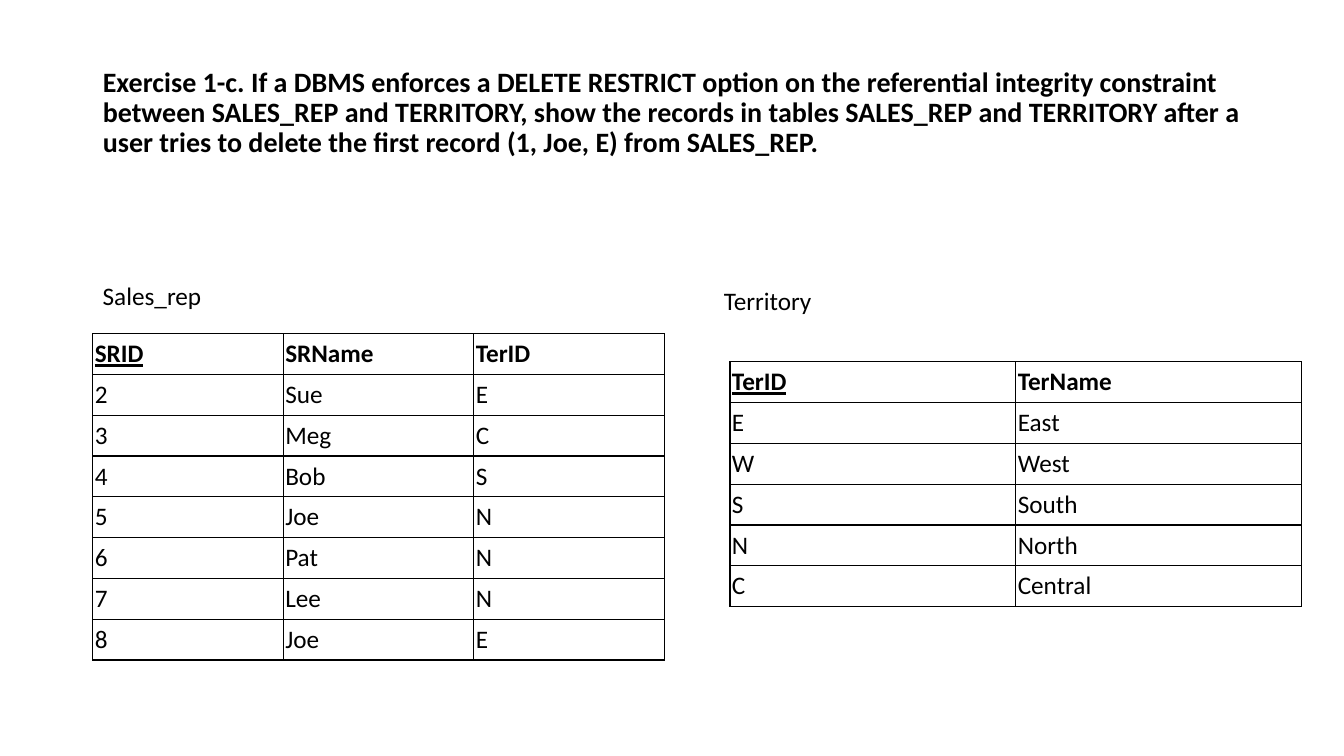
from dataclasses import dataclass

from lxml import etree
from pptx import Presentation
from pptx.dml.color import RGBColor
from pptx.enum.text import MSO_ANCHOR, MSO_AUTO_SIZE, PP_ALIGN
from pptx.oxml.ns import qn
from pptx.util import Inches, Pt

LEFT = PP_ALIGN.LEFT
MIDDLE = MSO_ANCHOR.MIDDLE
GROW = MSO_AUTO_SIZE.SHAPE_TO_FIT_TEXT
NO_FIT = MSO_AUTO_SIZE.NONE
TITLE_ONLY = 5


@dataclass(frozen=True)
class Theme:
    font: str = "Calibri"
    ink: str = "000000"
    title_size: int = 20
    body_size: int = 18
    border_width: int = 1
    cell_inset: float = 0.02
    table_width: float = 5.67
    row_height: float = 0.405


def write_text(frame, text, *, theme, size, bold=False, underline=False, spacing=None):
    paragraph = frame.paragraphs[0]
    paragraph.alignment = LEFT
    if spacing:
        paragraph.line_spacing = spacing
    run = paragraph.add_run()
    run.text = text
    run.font.name = theme.font
    run.font.size = Pt(size)
    run.font.bold = bold
    run.font.underline = underline
    run.font.color.rgb = RGBColor.from_string(theme.ink)


class SlideBuilder:
    def __init__(self, slide, theme):
        self.slide = slide
        self.theme = theme

    def title(self, text, left, top, width, height):
        heading = self.slide.shapes.title
        heading.left, heading.top = Inches(left), Inches(top)
        heading.width, heading.height = Inches(width), Inches(height)
        frame = heading.text_frame
        frame.word_wrap = True
        frame.auto_size = NO_FIT
        frame.vertical_anchor = MIDDLE
        write_text(frame, text, theme=self.theme, size=self.theme.title_size,
                   bold=True, spacing=0.9)

    def label(self, text, left, top, width, height=0.4):
        box = self.slide.shapes.add_textbox(
            Inches(left), Inches(top), Inches(width), Inches(height))
        box.text_frame.word_wrap = False
        box.text_frame.auto_size = GROW
        write_text(box.text_frame, text, theme=self.theme, size=self.theme.body_size)

    def table(self, records, left, top):
        """Draw a relation: bold header row, first column name underlined as key."""
        theme = self.theme
        row_count, column_count = len(records), len(records[0])
        grid = self.slide.shapes.add_table(
            row_count, column_count, Inches(left), Inches(top),
            Inches(theme.table_width), Inches(theme.row_height * row_count)).table
        grid.first_row = grid.horz_banding = False
        for r, record in enumerate(records):
            grid.rows[r].height = Inches(theme.row_height)
            for c, value in enumerate(record):
                cell = grid.cell(r, c)
                self.cell_style(cell)
                write_text(cell.text_frame, value, theme=theme, size=theme.body_size,
                           bold=r == 0, underline=r == 0 and c == 0)

    def cell_style(self, cell):
        inset = Inches(self.theme.cell_inset)
        cell.margin_left = cell.margin_right = inset
        cell.margin_top = cell.margin_bottom = inset
        cell.vertical_anchor = MIDDLE
        properties = cell._tc.get_or_add_tcPr()
        # Borders come before the fill in the cell properties
        for side in ("a:lnL", "a:lnR", "a:lnT", "a:lnB"):
            line = etree.SubElement(properties, qn(side),
                                    w=str(Pt(self.theme.border_width)))
            solid = etree.SubElement(line, qn("a:solidFill"))
            etree.SubElement(solid, qn("a:srgbClr"), val=self.theme.ink)
        cell.fill.background()


SALES_REPS = [
    ("SRID", "SRName", "TerID"),
    ("2", "Sue", "E"),
    ("3", "Meg", "C"),
    ("4", "Bob", "S"),
    ("5", "Joe", "N"),
    ("6", "Pat", "N"),
    ("7", "Lee", "N"),
    ("8", "Joe", "E"),
]
TERRITORIES = [
    ("TerID", "TerName"),
    ("E", "East"),
    ("W", "West"),
    ("S", "South"),
    ("N", "North"),
    ("C", "Central"),
]
QUESTION = (
    "Exercise 1-c. If a DBMS enforces a DELETE RESTRICT option on the referential "
    "integrity constraint between SALES_REP and TERRITORY, show the records in tables "
    "SALES_REP and TERRITORY after a user tries to delete the first record (1, Joe, E) "
    "from SALES_REP."
)


def main():
    deck = Presentation()
    deck.slide_width, deck.slide_height = Inches(13.33), Inches(7.5)
    slide = deck.slides.add_slide(deck.slide_layouts[TITLE_ONLY])
    builder = SlideBuilder(slide, Theme())

    # Exercise question
    builder.title(QUESTION, 0.92, 0.4, 11.5, 1.45)

    # Relations
    builder.table(SALES_REPS, 0.92, 3.31)
    builder.table(TERRITORIES, 7.24, 3.59)

    # Relation names
    builder.label("Sales_rep", 0.92, 2.73, 1.19)
    builder.label("Territory", 7.08, 2.78, 1.08)

    deck.save("out.pptx")


if __name__ == "__main__":
    main()
